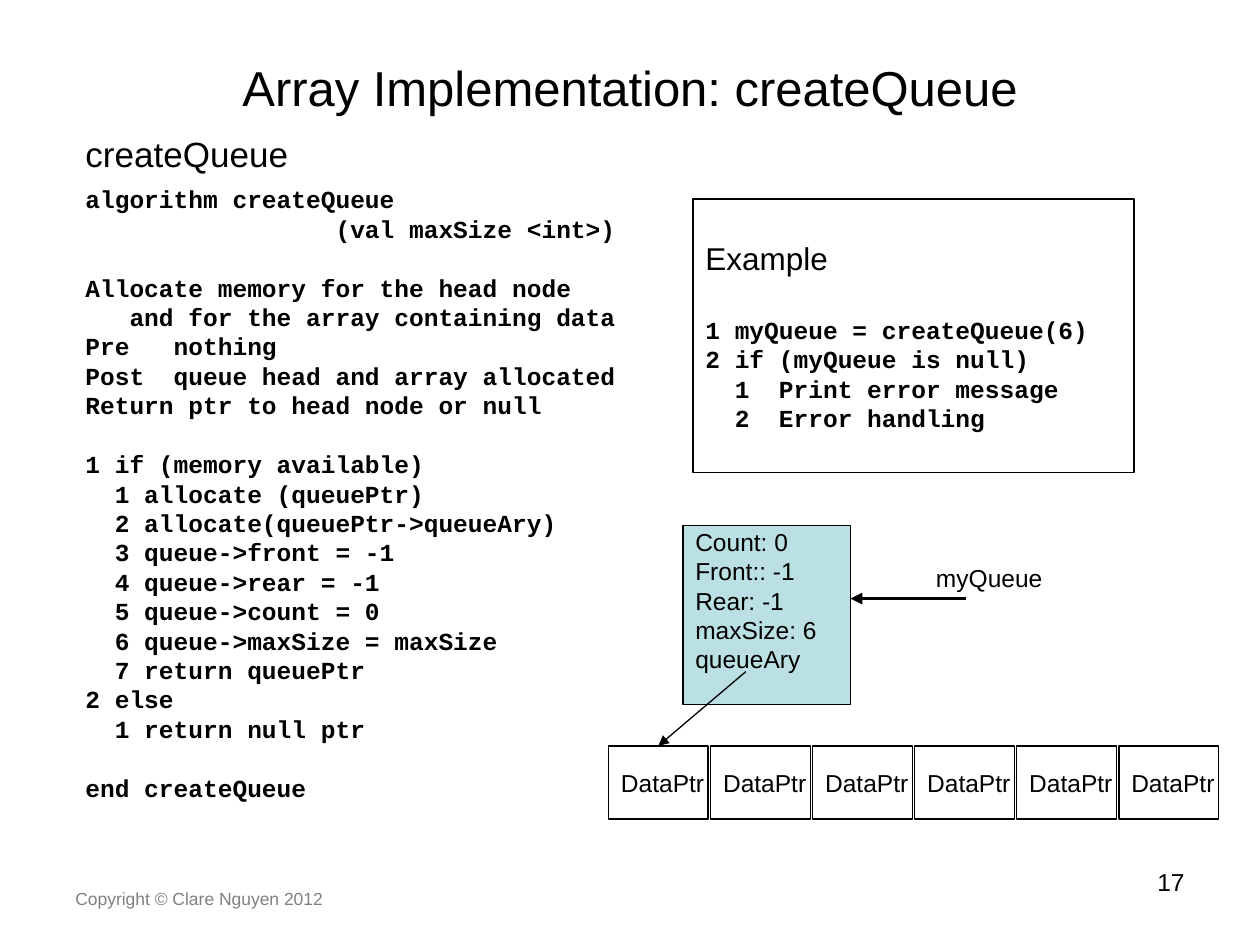
"""Build the createQueue slide with its pseudocode and queue diagram."""
from lxml.etree import SubElement
from pptx import Presentation
from pptx.dml.color import RGBColor
from pptx.enum.shapes import MSO_CONNECTOR, MSO_SHAPE
from pptx.enum.text import MSO_ANCHOR, PP_ALIGN
from pptx.oxml.ns import qn
from pptx.util import Inches, Pt

ALGORITHM = """algorithm createQueue
                 (val maxSize <int>)

Allocate memory for the head node
   and for the array containing data
Pre   nothing
Post  queue head and array allocated
Return ptr to head node or null

1 if (memory available)
  1 allocate (queuePtr)
  2 allocate(queuePtr->queueAry)
  3 queue->front = -1
  4 queue->rear = -1
  5 queue->count = 0
  6 queue->maxSize = maxSize
  7 return queuePtr
2 else
  1 return null ptr

end createQueue"""

EXAMPLE = """1 myQueue = createQueue(6)
2 if (myQueue is null)
  1  Print error message
  2  Error handling"""

QUEUE_HEAD = """Count: 0
Front:: -1
Rear: -1
maxSize: 6
queueAry"""

CODE = {"font": "Courier New", "bold": True}


def color(value):
    """Turn a hex string into a colour."""
    return RGBColor.from_string(value)


def write(frame, text, size=14, font="Arial", bold=False, ink="000000",
          align=PP_ALIGN.LEFT, gap=0):
    """Add lines of text to a frame, turning empty lines into spacing."""
    line_height = Pt(round(size * 1.2, 1))
    space = Pt(gap)
    for line in text.split("\n"):
        if not line:
            space = line_height
            continue
        first = frame.paragraphs[0]
        paragraph = frame.add_paragraph() if first.runs else first
        paragraph.alignment = align
        paragraph.line_spacing = line_height
        paragraph.space_before = space
        space = Pt(0)
        run = paragraph.add_run()
        run.text = line
        run.font.size = Pt(size)
        run.font.name = font
        run.font.bold = bold
        run.font.color.rgb = color(ink)


class SlideBuilder:
    """Hold the line style and the current slide."""

    line_color = "000000"
    line_width = 0.75

    def __init__(self, slide):
        """Keep the slide to draw on."""
        self.slide = slide

    def text(self, text, left, top, width, height,
             anchor=MSO_ANCHOR.TOP, **style):
        """Add a text box."""
        shape = self.slide.shapes.add_textbox(
            Inches(left), Inches(top), Inches(width), Inches(height))
        shape.text_frame.word_wrap = True
        shape.text_frame.vertical_anchor = anchor
        write(shape.text_frame, text, **style)

    def box(self, text, left, top, width, height, fill=None,
            anchor=MSO_ANCHOR.MIDDLE, inset=0.05, **style):
        """Add an outlined rectangle with text and return it."""
        shape = self.slide.shapes.add_shape(
            MSO_SHAPE.RECTANGLE, Inches(left), Inches(top),
            Inches(width), Inches(height))
        shape.shadow.inherit = False
        if fill:
            shape.fill.solid()
            shape.fill.fore_color.rgb = color(fill)
        else:
            shape.fill.background()
        shape.line.color.rgb = color(self.line_color)
        shape.line.width = Pt(self.line_width)
        frame = shape.text_frame
        frame.word_wrap = False
        frame.vertical_anchor = anchor
        frame.margin_top = Inches(inset)
        write(frame, text, **style)
        return shape

    def arrow(self, start, end, width=line_width):
        """Add a straight arrow and return it."""
        connector = self.slide.shapes.add_connector(
            MSO_CONNECTOR.STRAIGHT, *map(Inches, start + end))
        connector.line.color.rgb = color(self.line_color)
        connector.line.width = Pt(width)
        SubElement(connector.line._get_or_add_ln(), qn("a:tailEnd"), type="triangle")
        SubElement(connector._element.spPr, qn("a:effectLst"))
        return connector


def main():
    """Build and save the presentation."""
    presentation = Presentation()
    presentation.slide_width = Inches(10)
    presentation.slide_height = Inches(7.5)
    builder = SlideBuilder(
        presentation.slides.add_slide(presentation.slide_layouts[6]))

    builder.text("Copyright © Clare Nguyen 2012", 0.5, 7, 3.17, 0.27,
                 size=10, ink="808080")
    builder.text("17", 7.17, 6.83, 2.33, 0.52, align=PP_ALIGN.RIGHT)
    builder.text("Array Implementation: createQueue", 0.5, 0.3, 9, 0.78,
                 anchor=MSO_ANCHOR.MIDDLE, size=28, align=PP_ALIGN.CENTER)
    builder.text("createQueue", 0.58, 1, 8.92, 0.4, size=20)
    builder.text(ALGORITHM, 0.58, 1.41, 4.5, 5.01,
                 anchor=MSO_ANCHOR.MIDDLE, **CODE)

    example = builder.box("Example", 5.5, 1.58, 3.5, 2.17, size=18)
    write(example.text_frame, EXAMPLE, gap=21.6, **CODE)

    builder.text("myQueue", 7.33, 4.42, 1.11, 0.34)
    builder.box(QUEUE_HEAD, 5.42, 4.17, 1.33, 1.42, fill="BBE0E3",
                anchor=MSO_ANCHOR.TOP, inset=0.01)
    builder.arrow((7.67, 4.75), (6.75, 4.75), width=2.25)

    cells = [builder.box("DataPtr", 4.83 + 0.81 * index, 5.92, 0.79, 0.58)
             for index in range(6)]
    pointer = builder.arrow((5.92, 5.33), (5.25, 5.92))
    pointer.end_connect(cells[0], 0)

    presentation.save("out.pptx")


if __name__ == "__main__":
    main()
